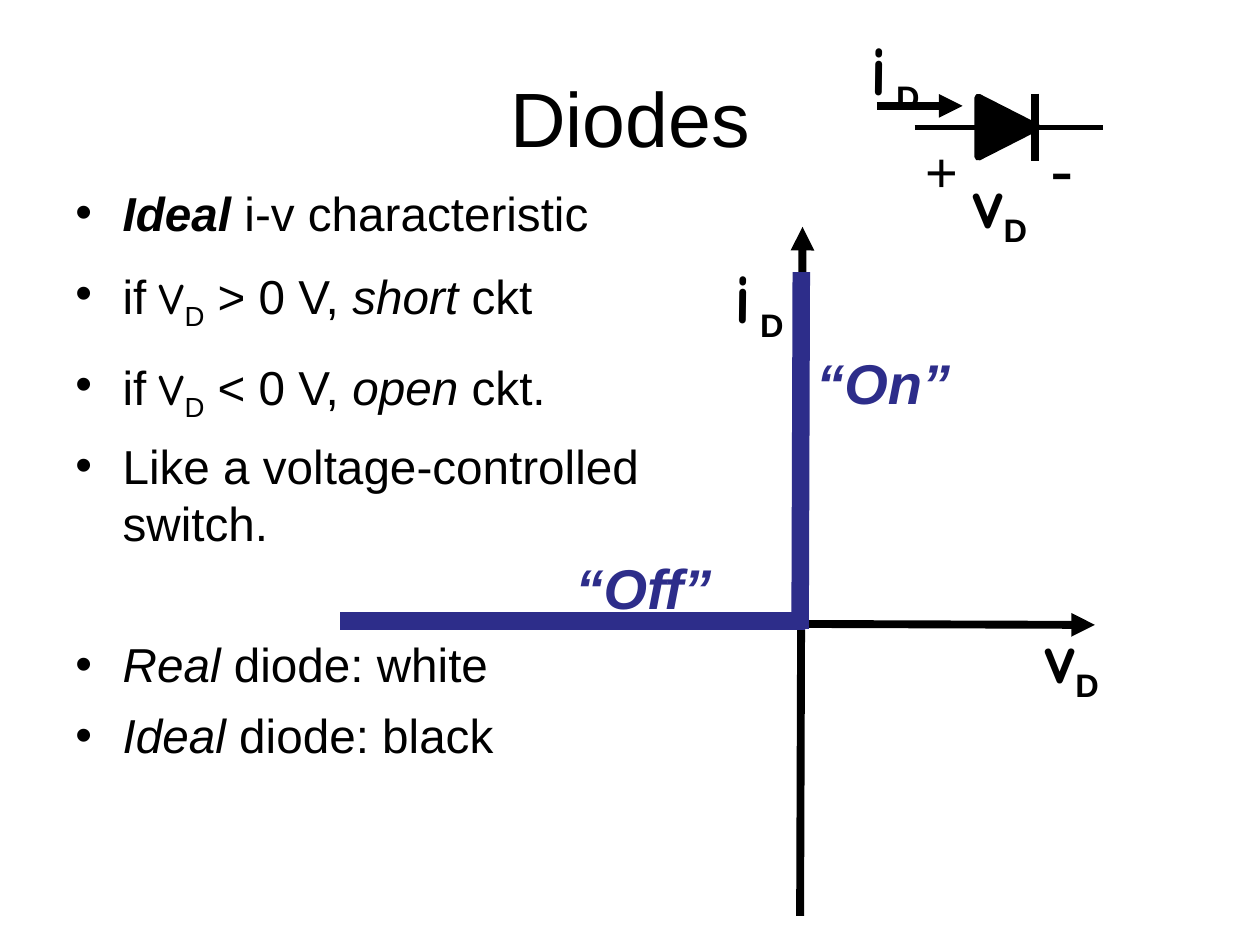
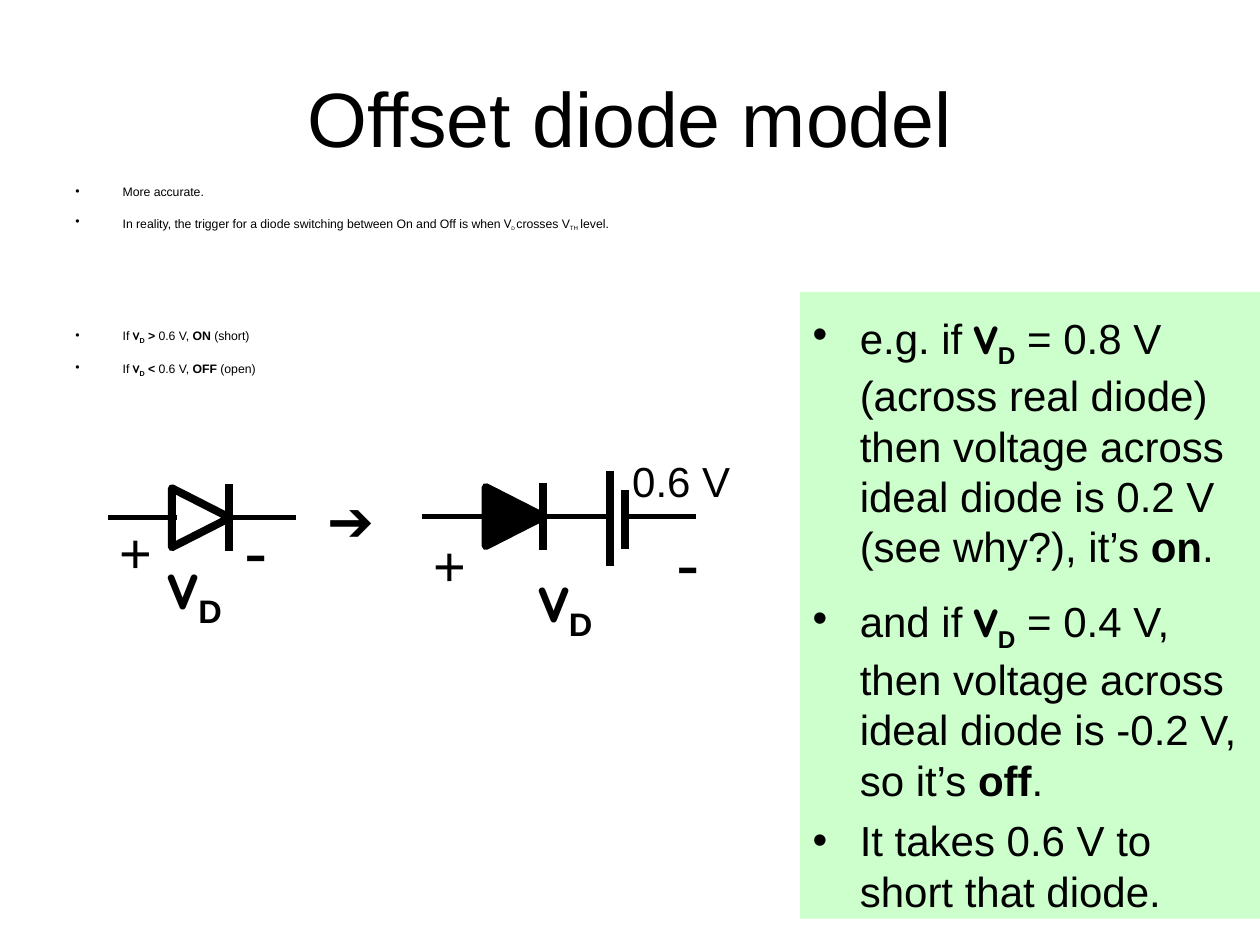
from lxml import etree
from pptx import Presentation
from pptx.dml.color import RGBColor
from pptx.enum.shapes import MSO_CONNECTOR, MSO_SHAPE
from pptx.enum.text import MSO_ANCHOR, MSO_AUTO_SIZE, PP_ALIGN
from pptx.oxml.ns import qn
from pptx.util import Pt

BLACK = RGBColor(0x00, 0x00, 0x00)
WHITE = RGBColor(0xFF, 0xFF, 0xFF)
BLUE = RGBColor(0x2D, 0x2D, 0x8A)
GREEN = RGBColor(0xCC, 0xFF, 0xCC)

SANS, COMIC = "Arial", "Comic Neue"
STRAIGHT = MSO_CONNECTOR.STRAIGHT
TRIANGLE, RECTANGLE = MSO_SHAPE.ISOSCELES_TRIANGLE, MSO_SHAPE.RECTANGLE
TOP, MIDDLE = MSO_ANCHOR.TOP, MSO_ANCHOR.MIDDLE
LEFT, CENTER = PP_ALIGN.LEFT, PP_ALIGN.CENTER
GROW = MSO_AUTO_SIZE.SHAPE_TO_FIT_TEXT

THICK, THIN, CURVE = 4.5, 3, 10   # line widths
HANG = 27                         # bullet indent


def symbol(name, size, sub_size, marks="", gap=None):
    """Runs of a circuit variable with subscript D; marks: b bold, i italic, _ subscript."""
    runs = [(name, size, marks, COMIC)]
    if gap:
        runs.append((" ", gap, marks, COMIC))
    return runs + [("D", sub_size, marks + "_")]


class Deck:
    def __init__(self):
        self.prs = Presentation()
        self.prs.slide_width, self.prs.slide_height = Pt(720), Pt(540)
        self.s = None

    def slide(self):
        self.s = self.prs.slides.add_slide(self.prs.slide_layouts[6])

    def runs(self, p, runs, color=BLACK):
        for text, size, marks, *font in runs:
            r = p.add_run()
            r.text = text
            r.font.size = Pt(size)
            r.font.name = font[0] if font else SANS
            r.font.bold, r.font.italic = "b" in marks, "i" in marks
            r.font.color.rgb = color
            if "_" in marks:
                r._r.get_or_add_rPr().set("baseline", "-25000")

    def title(self, text):
        tf = self.s.shapes.add_textbox(Pt(36), Pt(21.6), Pt(648), Pt(90)).text_frame
        tf.word_wrap, tf.vertical_anchor = True, MIDDLE
        tf.paragraphs[0].alignment = CENTER
        self.runs(tf.paragraphs[0], [(text, 44, "")])

    def label(self, x, y, w, h, runs, color=BLACK, before=8):
        tf = self.s.shapes.add_textbox(Pt(x), Pt(y), Pt(w), Pt(h)).text_frame
        tf.word_wrap, tf.auto_size = False, GROW
        tf.paragraphs[0].space_before = Pt(before)
        self.runs(tf.paragraphs[0], runs, color)

    def bullets(self, sp, items, before, wide=None):
        """Bulleted list; wide maps an item number to a larger space before it."""
        tf = sp.text_frame
        tf.word_wrap, tf.vertical_anchor = True, TOP
        for i, runs in enumerate(items):
            p = tf.add_paragraph() if i else tf.paragraphs[0]
            p.alignment = LEFT
            p.space_before = Pt((wide or {}).get(i, before))
            pPr = p._p.get_or_add_pPr()
            pPr.set("marL", str(Pt(HANG)))
            pPr.set("indent", str(-Pt(HANG)))
            etree.SubElement(pPr, qn("a:buFont")).set("typeface", SANS)
            etree.SubElement(pPr, qn("a:buChar")).set("char", "•")
            self.runs(p, runs)

    def body(self, w, h, items, before, wide):
        sp = self.s.shapes.add_textbox(Pt(36), Pt(101.5), Pt(w), Pt(h))
        self.bullets(sp, items, before, wide)

    def panel(self, x, y, w, h, items, before):
        sp = self.s.shapes.add_shape(RECTANGLE, Pt(x), Pt(y), Pt(w), Pt(h))
        sp.shadow.inherit = False
        sp.fill.solid()
        sp.fill.fore_color.rgb = GREEN
        sp.line.fill.background()
        self.bullets(sp, items, before)

    def line(self, x1, y1, x2, y2, width=THICK, color=BLACK, arrow=False):
        sp = self.s.shapes.add_connector(STRAIGHT, Pt(x1), Pt(y1), Pt(x2), Pt(y2))
        sp.line.width = Pt(width)
        sp.line.color.rgb = color
        if arrow:
            etree.SubElement(sp.line._get_or_add_ln(), qn("a:tailEnd")).set("type", "triangle")
        etree.SubElement(sp._element.spPr, qn("a:effectLst"))

    def diode(self, x, y, fill):
        """Diode whose left wire starts at x, y."""
        sp = self.s.shapes.add_shape(TRIANGLE, Pt(x + 36), Pt(y - 16.6), Pt(33.8), Pt(33.2))
        sp.shadow.inherit = False
        sp.rotation = 90
        sp.fill.solid()
        sp.fill.fore_color.rgb = fill
        sp.line.width = Pt(THICK)
        sp.line.color.rgb = BLACK
        self.line(x + 69, y - 19.2, x + 69, y + 19.2)
        for start in (x, x + 68.4):
            self.line(start, y, start + 39, y, THIN)

    def polarity(self, x, y, minus_x, v_x):
        """Plus, minus and voltage labels under a component."""
        self.voltage(v_x, y + 12.6)
        self.label(x, y, 33, 46, [("+", 32, "")])
        self.label(minus_x, y - 6, 27.4, 55.4, [("-", 40, "")], before=10)

    def voltage(self, x, y):
        self.label(x, y, 50.4, 59, symbol("v", 40, 32, "b"))

    def current(self, x, y):
        self.label(x, y, 43.2, 59, symbol("i", 40, 32, "b", gap=14))


def ideal_diode(d):
    d.slide()
    # Axes
    d.line(457.2, 523.4, 458.6, 129.6, arrow=True)
    d.line(194.4, 355.7, 625.7, 357.1, arrow=True)
    d.title("Diodes")

    # Bullets
    size = 27.2
    cases = [
        [("if ", size, ""), *symbol("v", 34, size), (f" {sign} 0 V, ", size, ""),
         (state, size, "i"), (end, size, "")]
        for sign, state, end in ((">", "short ", "ckt"), ("<", "open ", "ckt."))
    ]
    colors = [
        [(kind, size, "i"), (f" diode: {color}", size, "")]
        for kind, color in (("Real", "white"), ("Ideal", "black"))
    ]
    d.body(393, 356.4, [
        [("Ideal", size, "bi"), (" i-v characteristic", size, "")],
        *cases,
        [("Like a voltage-controlled switch.", size, "")],
        *colors,
    ], before=8, wide={4: 48})

    # Diode symbol
    d.diode(522.7, 72.7, BLACK)
    d.polarity(522, 74.2, minus_x=593.3, v_x=549.4)
    d.current(490.3, 10.8)
    d.line(501.1, 60.5, 550.1, 60.5, arrow=True)

    # Characteristic curve and axis labels
    d.label(459.4, 195.8, 90.7, 46, [("“On”", 32, "bi")], BLUE)
    d.label(321.8, 312.5, 92.9, 46, [("“Off”", 32, "bi")], BLUE)
    d.voltage(590.4, 347)
    d.current(412.6, 141.1)
    d.line(194.4, 355, 460, 355, CURVE, BLUE)
    d.line(457.2, 359.3, 457.9, 155.5, CURVE, BLUE)


def offset_model(d):
    d.slide()
    # Worked examples
    examples = [
        [(start, 24, ""), *symbol("v", 32, 24, "b"), (text, 24, ""),
         (state, 24, "b"), (".", 24, "")]
        for start, text, state in (
            ("e.g. if ", " = 0.8 V (across real diode) then voltage across "
                         "ideal diode is 0.2 V (see why?), it’s ", "on"),
            ("and if ", " = 0.4 V, then voltage across ideal diode is -0.2 V, "
                        "so it’s ", "off"),
        )
    ]
    d.panel(457.2, 167, 262.8, 358,
            [*examples, [("It takes 0.6 V to short that diode.", 24, "")]], before=6)
    d.title("Offset diode model")

    # Bullets
    size = 7
    cases = [
        [("If ", size, ""), *symbol("v", 9, size, "b"), (f" {sign} ", size, "b"),
         ("0.6 V, ", size, ""), (state, size, "b"), (end, size, "")]
        for sign, state, end in ((">", "ON", " (short)"), ("<", "OFF", " (open)"))
    ]
    d.body(431.3, 59, [
        [("More accurate.", size, "")],
        [("In reality, the trigger for a diode switching between On and Off is when ", size, ""),
         ("v", 10, "", COMIC), ("D ", 5, "_"), ("crosses V", size, ""),
         ("TH", 6, "_"), (" ", 5, ""), ("level.", size, "")],
        *cases,
    ], before=7, wide={2: 53})

    # Real diode
    d.diode(61.9, 295.9, WHITE)
    d.polarity(61.2, 292.3, minus_x=132.5, v_x=89.3)
    d.label(180, 273.6, 46, 46, [("➔", 32, "")])

    # Ideal diode with offset source
    d.diode(241.2, 295.2, BLACK)
    d.polarity(240.5, 299.5, minus_x=379.4, v_x=301)
    d.line(348.5, 269.3, 348.5, 323.3)
    d.line(357.1, 280.1, 357.1, 313.9)
    d.line(358.5, 295.2, 397.5, 295.2, THIN)
    d.label(354.2, 257, 70.6, 36, [("0.6 V", 24, "")], before=6)


def main():
    d = Deck()
    ideal_diode(d)
    offset_model(d)
    d.prs.save("out.pptx")


if __name__ == "__main__":
    main()
